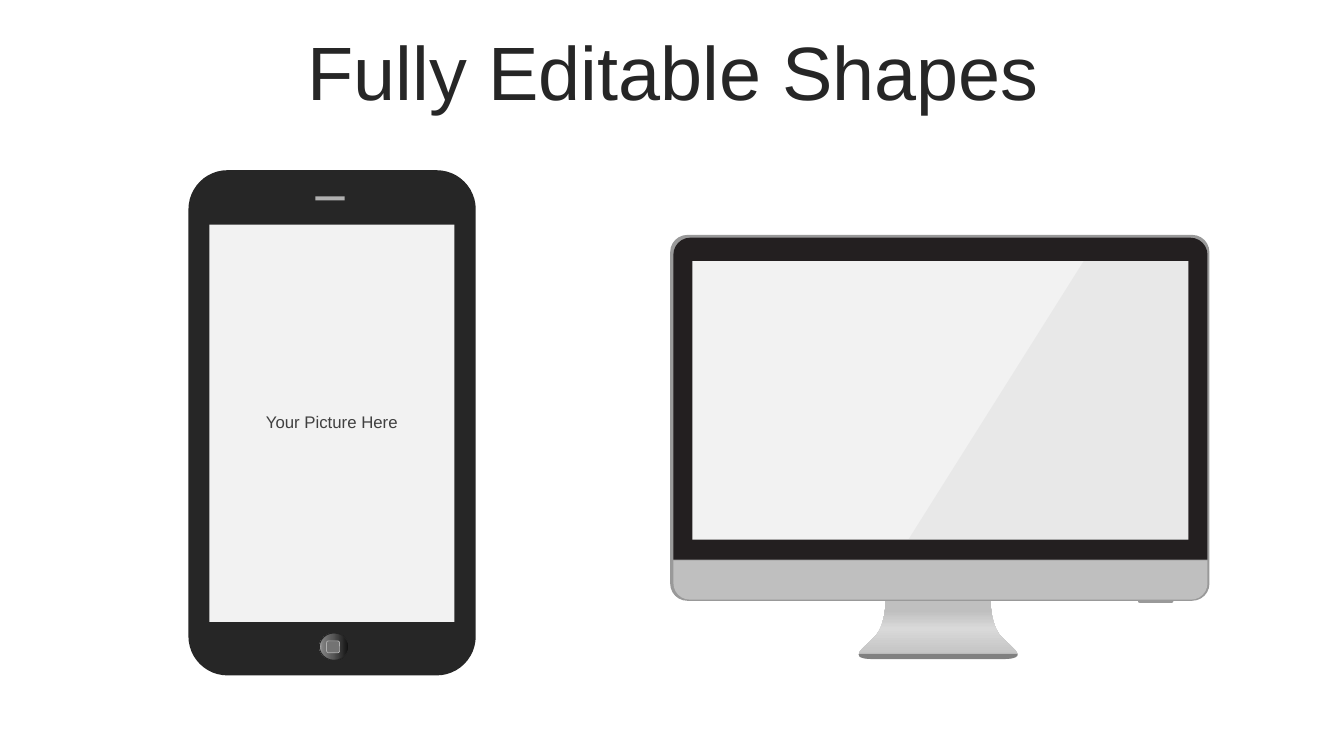
from typing import NamedTuple

from lxml.etree import SubElement
from pptx import Presentation
from pptx.dml.color import RGBColor
from pptx.enum.shapes import MSO_SHAPE
from pptx.enum.text import MSO_ANCHOR, PP_ALIGN
from pptx.oxml.ns import qn
from pptx.util import Cm, Pt

RECT = MSO_SHAPE.RECTANGLE
ROUND = MSO_SHAPE.ROUNDED_RECTANGLE
ARCH = MSO_SHAPE.ROUND_2_SAME_RECTANGLE
OVAL = MSO_SHAPE.OVAL
MIDDLE = MSO_ANCHOR.MIDDLE
CENTER = PP_ALIGN.CENTER

COLORS = {
    "ink": "262626",
    "text": "404040",
    "bezel": "231F20",
    "edge": "999999",
    "base": "808080",
    "metal": "BFBFBF",
    "shine": "D9D9D9",
    "screen": "F2F2F2",
    "trim": "B0B0B0",
    "key": "737373",
    "coal": "0F0F0F",
    "slate": "595959",
}
AXIS = 23.64

Point = tuple[float, float]


class Part(NamedTuple):
    kind: int
    left: float
    top: float
    width: float
    height: float
    fill: str
    bend: float = 0
    turn: int = 0


class Stop(NamedTuple):
    place: int
    color: str


FRAME = [
    Part(ROUND, 16.89, 5.92, 13.59, 9.22, "edge", 0.047),
    Part(ARCH, 28.68, 15.11, 0.89, 0.08, "edge", 0.5, 180),
    Part(ARCH, 16.97, 5.99, 13.46, 8.11, "bezel", 0.053),
    Part(ARCH, 16.97, 14.12, 13.46, 0.99, "metal", 0.42, 180),
    Part(RECT, 17.45, 6.58, 12.5, 7.02, "screen"),
]
BODY = Part(ROUND, 4.75, 4.29, 7.24, 12.73, "ink", 0.136)
SPEAKER = Part(RECT, 7.95, 4.95, 0.74, 0.1, "trim")
HOME = Part(OVAL, 8.05, 15.95, 0.74, 0.69, "slate")
KEY = Part(ROUND, 8.23, 16.15, 0.33, 0.3, "key", 0.167)
DISPLAY = Part(RECT, 5.28, 5.66, 6.17, 10.01, "screen")

STEEL = [Stop(0, "metal"), Stop(53, "shine"), Stop(83, "metal"), Stop(100, "metal")]
GLOSS = [Stop(0, "coal"), Stop(56, "slate"), Stop(91, "base"), Stop(100, "metal")]


def color(name: str) -> RGBColor:
    return RGBColor.from_string(COLORS[name])


def paint(shape, name: str) -> None:
    shape.shadow.inherit = False
    shape.fill.solid()
    shape.fill.fore_color.rgb = color(name)
    shape.line.fill.background()


def blend(shape, stops: list[Stop], angle: int) -> None:
    shape.fill.gradient()
    grad = shape.fill._fill._gradFill
    for child in list(grad):
        grad.remove(child)
    items = SubElement(grad, qn("a:gsLst"))
    for stop in stops:
        item = SubElement(items, qn("a:gs"), pos=str(stop.place * 1000))
        SubElement(item, qn("a:srgbClr"), val=COLORS[stop.color])
    SubElement(grad, qn("a:lin"), ang=str(angle * 60000), scaled="0")


def fade(shape, share: int) -> None:
    tint = shape.fill._xPr.find(qn("a:solidFill"))[0]
    SubElement(tint, qn("a:alpha"), val=str(share * 1000))


def place(shapes, part: Part):
    box = [Cm(n) for n in (part.left, part.top, part.width, part.height)]
    shape = shapes.add_shape(part.kind, *box)
    if part.bend:
        shape.adjustments[0] = part.bend
    shape.rotation = part.turn
    paint(shape, part.fill)
    return shape


def curve(a: Point, b: Point, c: Point, d: Point, count: int = 16) -> list[Point]:
    points = []
    for step in range(count + 1):
        t = step / count
        u = 1 - t
        mix = (u**3, 3 * u * u * t, 3 * u * t * t, t**3)
        x, y = (sum(m * p[i] for m, p in zip(mix, (a, b, c, d))) for i in (0, 1))
        points.append((x, y))
    return points


def mirror(half: list[Point]) -> list[Point]:
    right = [(AXIS + x, y) for x, y in half]
    return right + [(AXIS - x, y) for x, y in reversed(half)]


def trace(shapes, points: list[Point], fill: str):
    spots = [(Cm(x), Cm(y)) for x, y in points]
    pen = shapes.build_freeform(*spots[0])
    pen.add_line_segments(spots[1:], close=True)
    shape = pen.convert_to_shape()
    paint(shape, fill)
    return shape


def write(shape, text: str, size: int, name: str) -> None:
    frame = shape.text_frame
    frame.word_wrap = True
    frame.vertical_anchor = MIDDLE
    line = frame.paragraphs[0]
    line.text = text
    line.alignment = CENTER
    line.line_spacing = 0.9
    line.font.name = "Arial"
    line.font.size = Pt(size)
    line.font.color.rgb = color(name)


def draw_screen(shapes) -> None:
    neck = curve((1.32, 15.14), (1.32, 15.14), (1.32, 15.77), (1.6, 16.05))
    foot = curve((1.6, 16.05), (1.9, 16.36), (2.34, 16.61), (1.6, 16.61))
    stand = trace(shapes, mirror(neck + foot[1:]), "metal")
    blend(stand, STEEL, 270)
    rim = curve((2, 16.48), (2, 16.56), (1.9, 16.61), (1.6, 16.61))
    trace(shapes, mirror(rim), "base")
    for part in FRAME:
        place(shapes, part)
    corners = [(27.31, 6.58), (29.95, 6.58), (29.95, 13.6), (22.89, 13.6)]
    fade(trace(shapes, corners, "edge"), 10)


def draw_phone(shapes) -> None:
    place(shapes, BODY)
    place(shapes, SPEAKER)
    home = place(shapes, HOME)
    blend(home, GLOSS, 180)
    home.line.color.rgb = color("ink")
    home.line.width = Pt(0)
    key = place(shapes, KEY)
    key.line.color.rgb = color("trim")
    key.line.width = Pt(0.5)
    write(place(shapes, DISPLAY), "Your Picture Here", 12, "text")


def main() -> None:
    deck = Presentation()
    deck.slide_width, deck.slide_height = Cm(33.87), Cm(19.05)
    shapes = deck.slides.add_slide(deck.slide_layouts[6]).shapes
    title = shapes.add_textbox(Cm(0.89), Cm(0.91), Cm(32.16), Cm(2.01))
    write(title, "Fully Editable Shapes", 54, "ink")
    draw_screen(shapes)
    draw_phone(shapes)
    deck.save("out.pptx")


if __name__ == "__main__":
    main()
